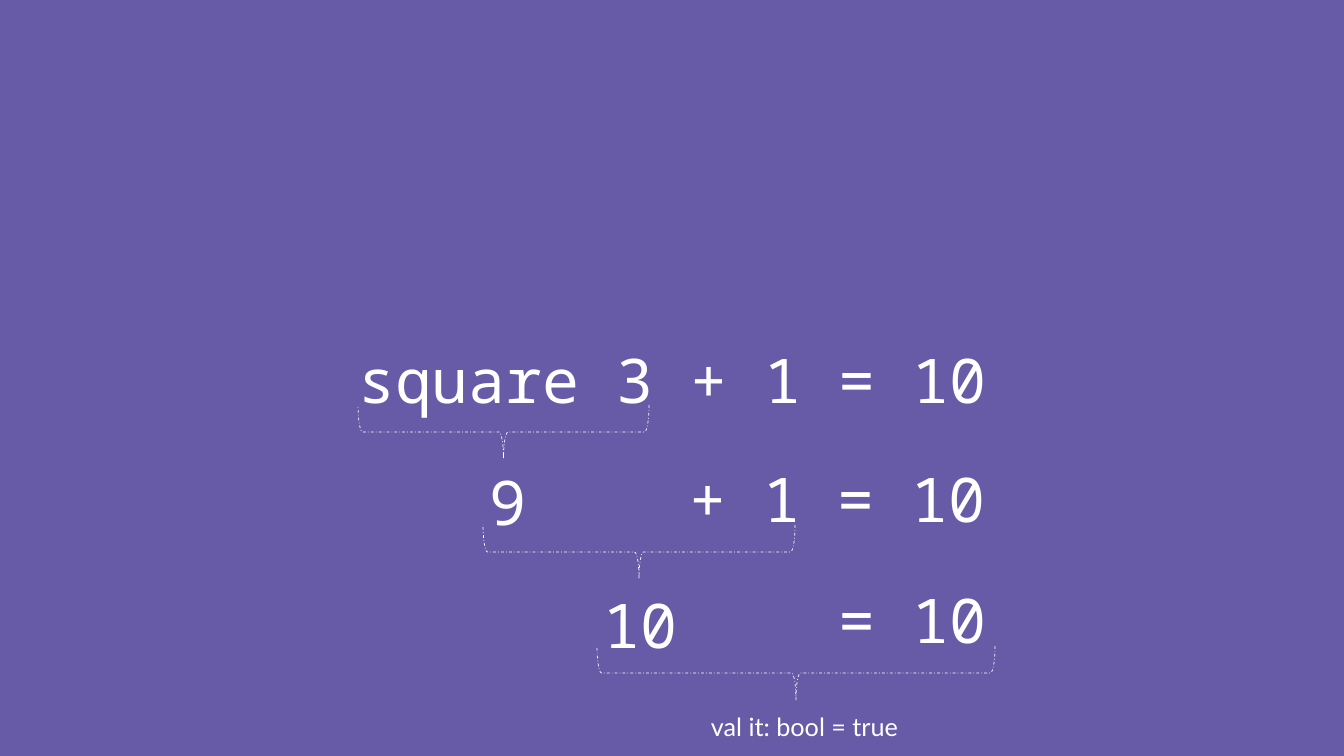
from dataclasses import dataclass

from pptx import Presentation
from pptx import util as u
from pptx.dml.color import RGBColor
from pptx.enum import dml, shapes, text

PX = 914400 / 100.8  # EMU per pixel
WIDTH, HEIGHT = 1344, 756


@dataclass(frozen=True)
class Theme:
    background: RGBColor = RGBColor.from_string("675BA7")
    ink: RGBColor = RGBColor.from_string("FFFFFF")
    code_font: str = "Noto Sans Mono"
    code_size: float = 44
    result_font: str = "Lato"
    result_size: float = 18
    brace_width: float = 0.5


THEME = Theme()
TERM_HEIGHT = 135
BRACE_DEPTH = 54


def px(value):
    return u.Emu(round(value * PX))


def add_words(slide, box, words, font, size, insets=(7, 3),
              align=text.PP_ALIGN.LEFT, anchor=text.MSO_ANCHOR.MIDDLE, spacing=1.0):
    frame = slide.shapes.add_textbox(*map(px, box)).text_frame
    frame.word_wrap = True
    frame.vertical_anchor = anchor
    frame.margin_left = frame.margin_right = px(insets[0])
    frame.margin_top = frame.margin_bottom = px(insets[1])
    line = frame.paragraphs[0]
    line.alignment, line.line_spacing = align, spacing
    run = line.add_run()
    run.text = words
    run.font.name, run.font.size = font, u.Pt(size)
    run.font.color.rgb = THEME.ink


def add_brace(slide, left, top, span):
    """Brace opening upwards: a right brace turned a quarter about its centre."""
    shift = (span - BRACE_DEPTH) / 2
    brace = slide.shapes.add_shape(
        shapes.MSO_SHAPE.RIGHT_BRACE,
        px(left + shift), px(top - shift), px(BRACE_DEPTH), px(span))
    brace.rotation = 90
    brace.shadow.inherit = False
    brace.fill.background()
    brace.line.color.rgb = THEME.ink
    brace.line.width = u.Pt(THEME.brace_width)
    brace.line.dash_style = dml.MSO_LINE.DASH_DOT


def add_expression(slide, box):
    """Full expression, with the function call bracketed."""
    left, top, width, height = box
    add_words(slide, box, "square 3 + 1 = 10", THEME.code_font, THEME.code_size,
              align=text.PP_ALIGN.CENTER)
    add_brace(slide, left + 123, top + 276, 291)


def add_reduction(slide, box, value, value_width, rest, rest_at, brace_at, brace_span):
    """Reduced value, the rest of the expression, and the next brace."""
    left, top, width, height = box
    value_drop = height - TERM_HEIGHT
    terms = [(value, 0, value_drop, value_width), (rest, rest_at, 0, width - rest_at)]
    for words, across, down, term_width in terms:
        add_words(slide, (left + across, top + down, term_width, TERM_HEIGHT),
                  words, THEME.code_font, THEME.code_size)
    add_brace(slide, left + brace_at, top + 95, brace_span)


def add_result(slide, box):
    add_words(slide, box, "val it: bool = true", THEME.result_font, THEME.result_size,
              insets=(10, 5), anchor=text.MSO_ANCHOR.TOP, spacing=1.1)


deck = Presentation()
deck.slide_width, deck.slide_height = px(WIDTH), px(HEIGHT)
slide = deck.slides.add_slide(deck.slide_layouts[6])
slide.background.fill.solid()
slide.background.fill.fore_color.rgb = THEME.background

# Evaluation from the full expression down to its result
add_expression(slide, (235, 129, 875, 499))
add_reduction(slide, (483, 430, 539, 138), "9", 96, "+ 1 = 10", 200, 0, 312)
add_reduction(slide, (597, 551, 417, 140), "10", 106, "= 10", 235, 0, 398)
add_result(slide, (701, 703, 222, 41))

deck.save("out.pptx")
